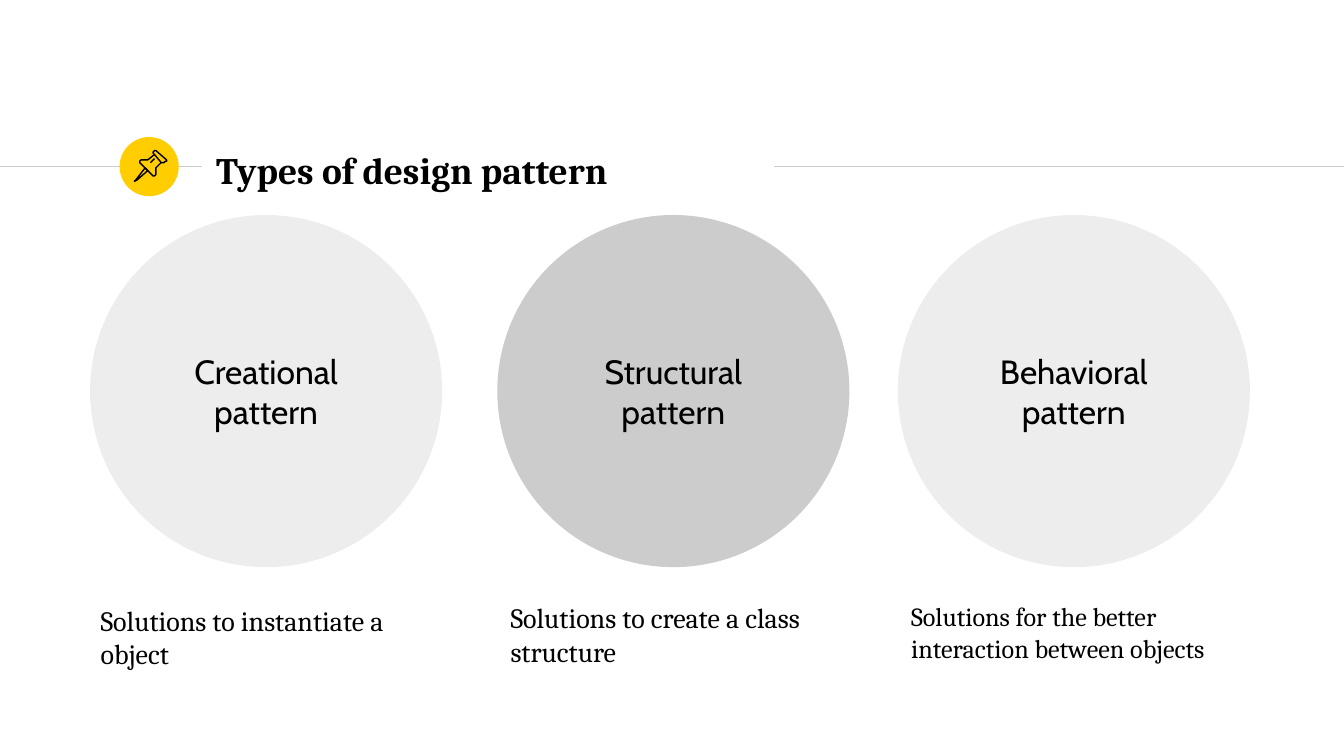
from dataclasses import dataclass

from lxml import etree
from pptx import Presentation
from pptx.dml.color import RGBColor
from pptx.enum import shapes, text
from pptx.oxml.ns import qn
from pptx.util import Inches, Pt


@dataclass(frozen=True)
class Theme:
    black: RGBColor = RGBColor(0, 0, 0)
    grey: RGBColor = RGBColor(0xCC, 0xCC, 0xCC)
    yellow: RGBColor = RGBColor(0xFF, 0xCD, 0)
    serif: str = "Cambria"
    sans: str = "Cabin"
    title_size: int = 20
    circle_size: int = 18
    line_width: float = 0.75


THEME = Theme()
RULE_Y = 1.24
CIRCLE_TOP, DIAMETER = 1.6, 2.62

# Circle left, label, opacity in %, then note left, top, height, text, size
PATTERNS = [
    (0.67, "Creational pattern", 7,
     0.65, 4.44, 0.61, "Solutions to instantiate a object", 15),
    (3.7, "Structural pattern", None,
     3.7, 4.42, 0.61, "Solutions to create a class structure", 15),
    (6.68, "Behavioral pattern", 7,
     6.68, 4.42, 0.81, "Solutions for the better interaction between objects", 14),
]

# Pushpin outlines in hundredths of an inch: points, closed
PIN = [
    ([(108, 125), (101, 134), (100, 135), (102, 134), (110, 127)], True),
    ([(115, 115), (120, 121), (122, 121), (123, 120), (124, 120), (124, 119),
      (116, 112), (115, 112), (114, 113), (114, 114)], True),
    ([(115, 115), (110, 119), (109, 119), (107, 119), (105, 119), (104, 120),
      (104, 121), (114, 131), (115, 131), (116, 130), (116, 128), (116, 125),
      (120, 121)], False),
    ([(112, 121), (115, 118)], False),
]


def set_text(s, words, font, size, bold=False, align=None, anchor=None):
    tf = s.text_frame
    tf.word_wrap = True
    tf.text = words
    if anchor is not None:
        tf.vertical_anchor = anchor
        tf.margin_top = tf.margin_bottom = Inches(0.1)
    p = tf.paragraphs[0]
    p.alignment = align
    f = p.runs[0].font
    f.name, f.size, f.bold = font, Pt(size), bold
    f.color.rgb = THEME.black


def add_text(slide, x, y, w, h, words, size, **style):
    s = slide.shapes.add_textbox(Inches(x), Inches(y), Inches(w), Inches(h))
    set_text(s, words, THEME.serif, size, **style)


def add_rule(slide, x1, x2):
    y = Inches(RULE_Y)
    c = slide.shapes.add_connector(
        shapes.MSO_CONNECTOR.STRAIGHT, Inches(x1), y, Inches(x2), y)
    c.line.color.rgb = THEME.grey
    c.line.width = Pt(THEME.line_width)
    etree.SubElement(c._element.spPr, qn("a:effectLst"))


def add_circle(slide, x, y, d, color, opacity=None):
    s = slide.shapes.add_shape(
        shapes.MSO_SHAPE.OVAL, Inches(x), Inches(y), Inches(d), Inches(d))
    s.shadow.inherit = False
    s.fill.solid()
    s.fill.fore_color.rgb = color
    s.line.fill.background()
    if opacity is not None:
        clr = s._element.spPr.find(qn("a:solidFill"))[0]
        etree.SubElement(clr, qn("a:alpha"), val=str(opacity * 1000))
    return s


def add_pin(slide):
    group = slide.shapes.add_group_shape()
    for points, closed in PIN:
        fb = group.shapes.build_freeform(*points[0], scale=Inches(0.01))
        fb.add_line_segments(points[1:], close=closed)
        s = fb.convert_to_shape()
        s.shadow.inherit = False
        s.fill.background()
        s.line.color.rgb = THEME.black
        s.line.width = Pt(THEME.line_width)


def main():
    # Widescreen page, 16:9
    prs = Presentation()
    prs.slide_width = Inches(10)
    prs.slide_height = Inches(10 * 9 / 16)
    slide = prs.slides.add_slide(prs.slide_layouts[6])

    # Header: rules, badge, title
    add_rule(slide, 0, 1.5)
    add_circle(slide, 0.89, 1.02, 0.44, THEME.yellow)
    add_rule(slide, 5.76, 10)
    add_text(slide, 1.51, 1.02, 4.24, 0.48, "Types of design pattern",
             THEME.title_size, bold=True, anchor=text.MSO_ANCHOR.MIDDLE)

    # Pattern circles with their notes
    for x, label, opacity, note_x, note_y, note_h, note, size in PATTERNS:
        color = THEME.black if opacity else THEME.grey
        s = add_circle(slide, x, CIRCLE_TOP, DIAMETER, color, opacity)
        set_text(s, label, THEME.sans, THEME.circle_size,
                 align=text.PP_ALIGN.CENTER, anchor=text.MSO_ANCHOR.MIDDLE)
        add_text(slide, note_x, note_y, DIAMETER, note_h, note, size)

    # Pushpin on the badge
    add_pin(slide)

    prs.save("out.pptx")


if __name__ == "__main__":
    main()
